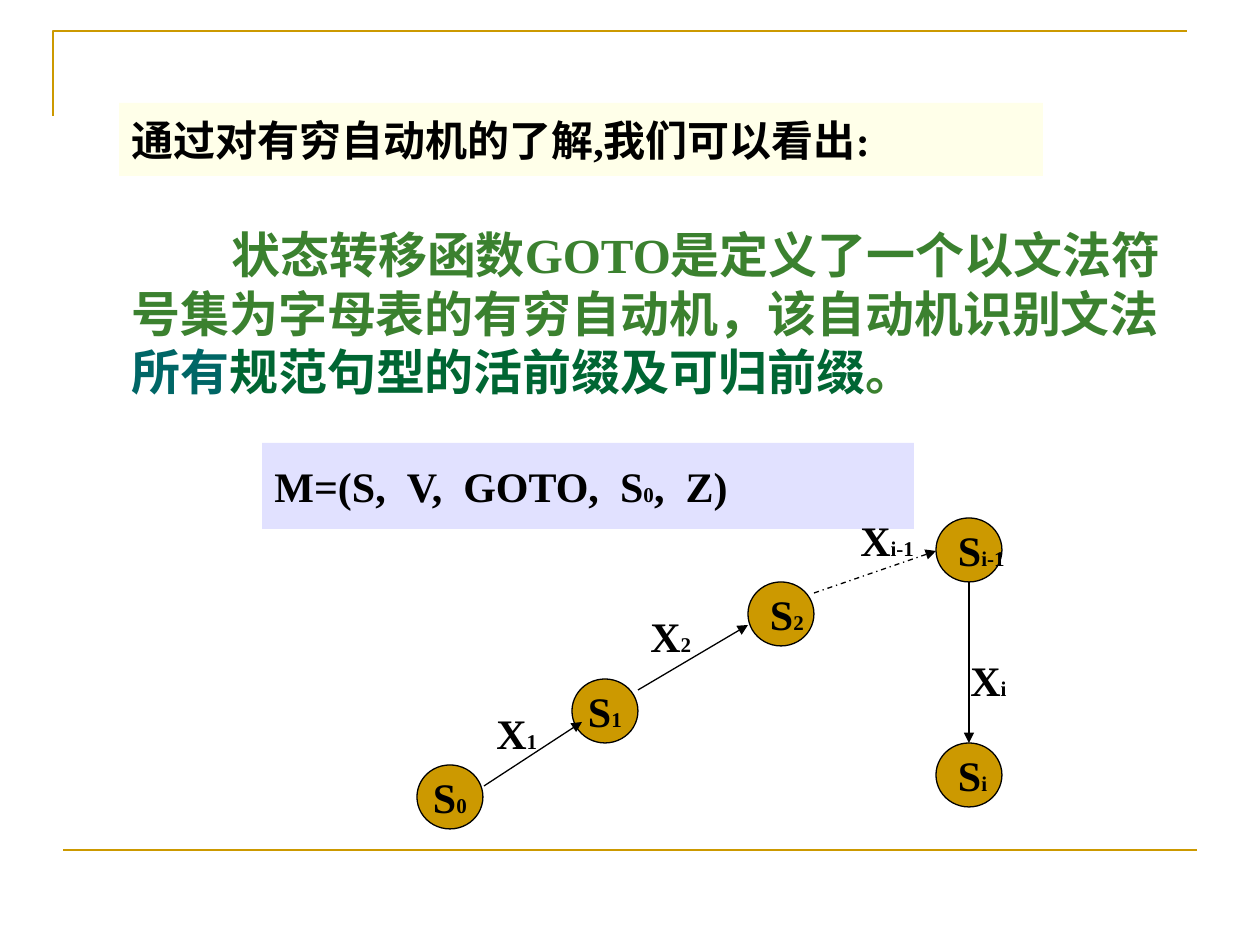
from dataclasses import dataclass

from lxml import etree
from pptx import Presentation
from pptx import util as u
from pptx.dml.color import RGBColor
from pptx.enum import dml, shapes, text
from pptx.oxml.ns import qn


@dataclass(frozen=True)
class Theme:
    font: str = "Times New Roman"
    gold: str = "CC9900"
    black: str = "000000"
    cream: str = "FFFFE9"
    lilac: str = "E1E1FF"
    green: str = "3B812F"
    teal: str = "006666"
    dark: str = "006633"
    large: int = 28
    body: int = 24
    small: int = 12
    rule: float = 1.5
    thin: float = 0.75


@dataclass(frozen=True)
class Run:
    text: str
    size: int
    tint: str = "000000"
    track: int = 0  # extra letter spacing, in points


@dataclass(frozen=True)
class Box:
    x: int
    y: int
    w: int
    h: int


@dataclass(frozen=True)
class State:
    sub: str
    x: int
    y: int
    mid: bool = False


@dataclass(frozen=True)
class Move:
    """An arrow between two states, with the place of its label."""
    sub: str
    start: tuple[int, int]
    end: tuple[int, int]
    label: tuple[int, int]
    dash: bool = False


T = Theme()
SCALE = 914400 / 126
NODE = (66, 64)
TAG = (88, 63)

STATES = [
    State("0", 417, 765, True),
    State("1", 572, 679, True),
    State("i-1", 936, 518),
    State("2", 748, 582),
    State("i", 936, 743),
]
MOVES = [
    Move("1", (484, 786), (582, 722), (484, 701)),
    Move("2", (638, 690), (748, 625), (638, 604)),
    Move("i-1", (814, 593), (936, 551), (848, 508), True),
    Move("i", (969, 582), (969, 743), (958, 648)),
]
INTRO = [Run("通过对有穷自动机的了解,我们可以看出:", T.body)]
CLAIM = [
    Run("状态转移函数GOTO是定义了一个以文法符号集为字母表的有穷自动机，该自动机识别文法", T.large, T.green),
    Run("所有", T.large, T.teal),
    Run("规范句型的活前缀及可归前缀", T.large, T.dark),
    Run("。", T.large, T.green),
]
GAP = Run(" ", T.body, track=6)
TUPLE = [
    Run("M=(S,", T.body), GAP, Run("V,", T.body), GAP, Run("GOTO,", T.body), GAP,
    Run("S", T.body), Run("0", T.small), Run(",", T.body), GAP, Run("Z)", T.body),
]


def px(n: int) -> u.Emu:
    return u.Emu(round(n * SCALE))


def rgb(tint: str) -> RGBColor:
    return RGBColor.from_string(tint)


def sub(name: str, mark: str) -> list[Run]:
    """A letter followed by its small index."""
    return [Run(name, T.body), Run(mark, T.small)]


def write(shape, runs: list[Run], wrap: bool = False, mid: bool = False,
          top: bool = False, indent: int = 0) -> None:
    frame = shape.text_frame
    frame.word_wrap = wrap
    frame.vertical_anchor = text.MSO_ANCHOR.TOP if top else text.MSO_ANCHOR.MIDDLE
    para = frame.paragraphs[0]
    para.alignment = text.PP_ALIGN.CENTER if mid else text.PP_ALIGN.LEFT
    if indent:
        para._p.get_or_add_pPr().set("indent", str(px(indent)))
    for item in runs:
        run = para.add_run()
        run.text = item.text
        font = run.font
        font.name, font.size, font.bold = T.font, u.Pt(item.size), True
        font.color.rgb = rgb(item.tint)
        if item.track:
            run._r.get_or_add_rPr().set("spc", str(item.track * 100))


def block(slide, kind, box: Box, fill: str, line: str | None = None):
    shape = slide.shapes.add_shape(kind, px(box.x), px(box.y), px(box.w), px(box.h))
    shape.shadow.inherit = False
    shape.fill.solid()
    shape.fill.fore_color.rgb = rgb(fill)
    if line:
        shape.line.color.rgb = rgb(line)
        shape.line.width = u.Pt(T.thin)
    else:
        shape.line.fill.background()
    return shape


def label(slide, box: Box):
    return slide.shapes.add_textbox(px(box.x), px(box.y), px(box.w), px(box.h))


def link(slide, start: tuple[int, int], end: tuple[int, int], tint: str,
         width: float, head: bool = False, dash: bool = False) -> None:
    line = slide.shapes.add_connector(
        shapes.MSO_CONNECTOR.STRAIGHT, *map(px, start), *map(px, end))
    line.line.color.rgb = rgb(tint)
    line.line.width = u.Pt(width)
    if dash:
        line.line.dash_style = dml.MSO_LINE.DASH_DOT
    if head:
        etree.SubElement(line.line._get_or_add_ln(), qn("a:tailEnd"), type="triangle")
    etree.SubElement(line._element.spPr, qn("a:effectLst"))


def frame(slide) -> None:
    """The gold corner at the top and the rule at the foot."""
    pen = slide.shapes.build_freeform(53, 116, scale=SCALE)
    pen.add_line_segments([(53, 31), (1187, 31)], close=False)
    edge = pen.convert_to_shape()
    edge.shadow.inherit = False
    edge.fill.background()
    edge.line.color.rgb = rgb(T.gold)
    edge.line.width = u.Pt(T.rule)
    link(slide, (63, 850), (1197, 850), T.gold, T.rule)


def main() -> None:
    deck = Presentation()
    deck.slide_width, deck.slide_height = px(1260), px(945)
    slide = deck.slides.add_slide(deck.slide_layouts[6])
    rect, oval = shapes.MSO_SHAPE.RECTANGLE, shapes.MSO_SHAPE.OVAL

    frame(slide)
    write(block(slide, rect, Box(119, 103, 924, 73), T.cream), INTRO)
    write(label(slide, Box(119, 218, 1068, 189)), CLAIM, wrap=True, indent=100)
    write(block(slide, rect, Box(262, 443, 652, 86), T.lilac), TUPLE)

    for state in STATES:
        node = block(slide, oval, Box(state.x, state.y, *NODE), T.gold, T.black)
        write(node, sub("S", state.sub), mid=state.mid)
    for move in MOVES:
        link(slide, move.start, move.end, T.black, T.thin, True, move.dash)
    for move in MOVES:
        write(label(slide, Box(*move.label, *TAG)), sub("X", move.sub), wrap=True, top=True)

    deck.save("out.pptx")


if __name__ == "__main__":
    main()
